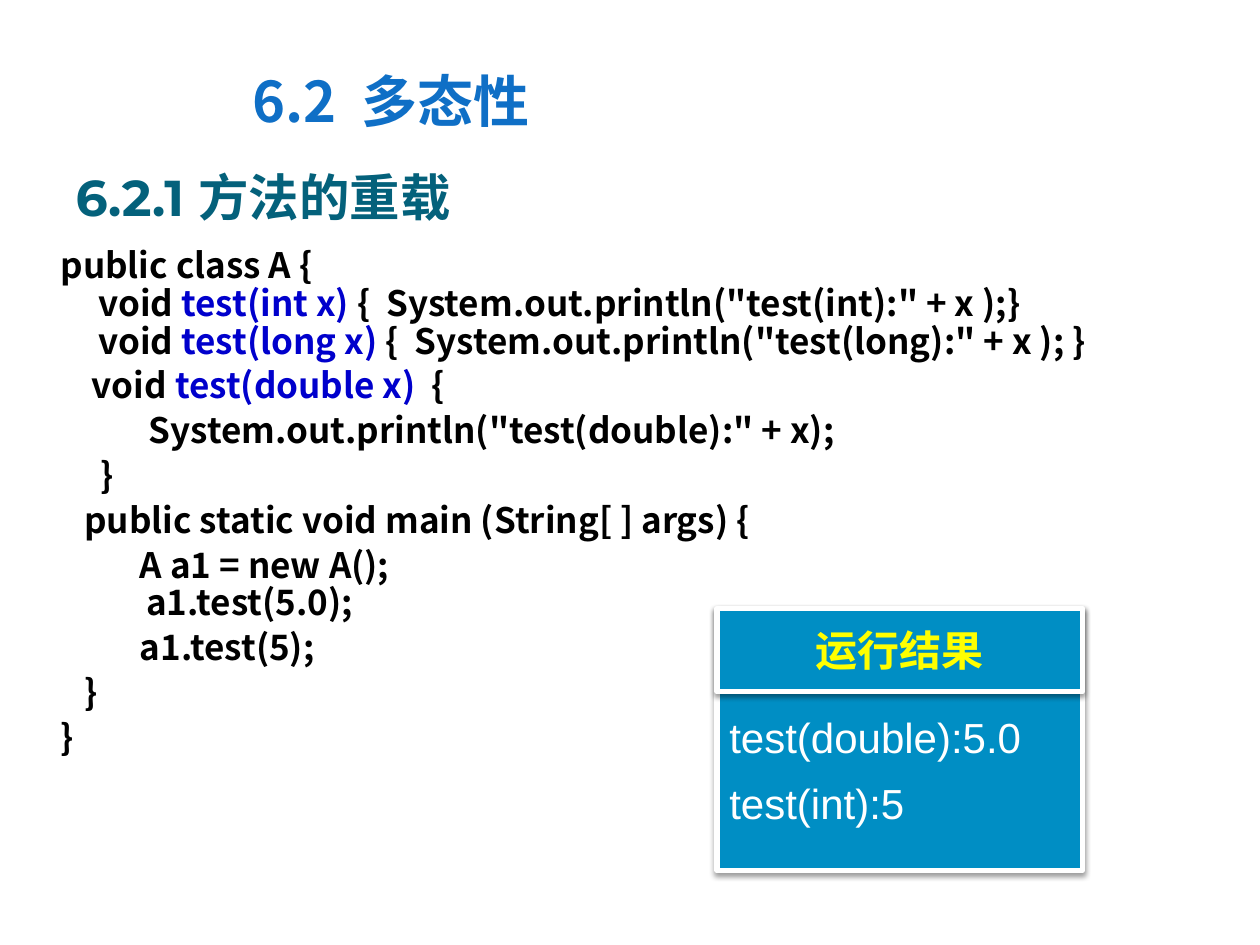
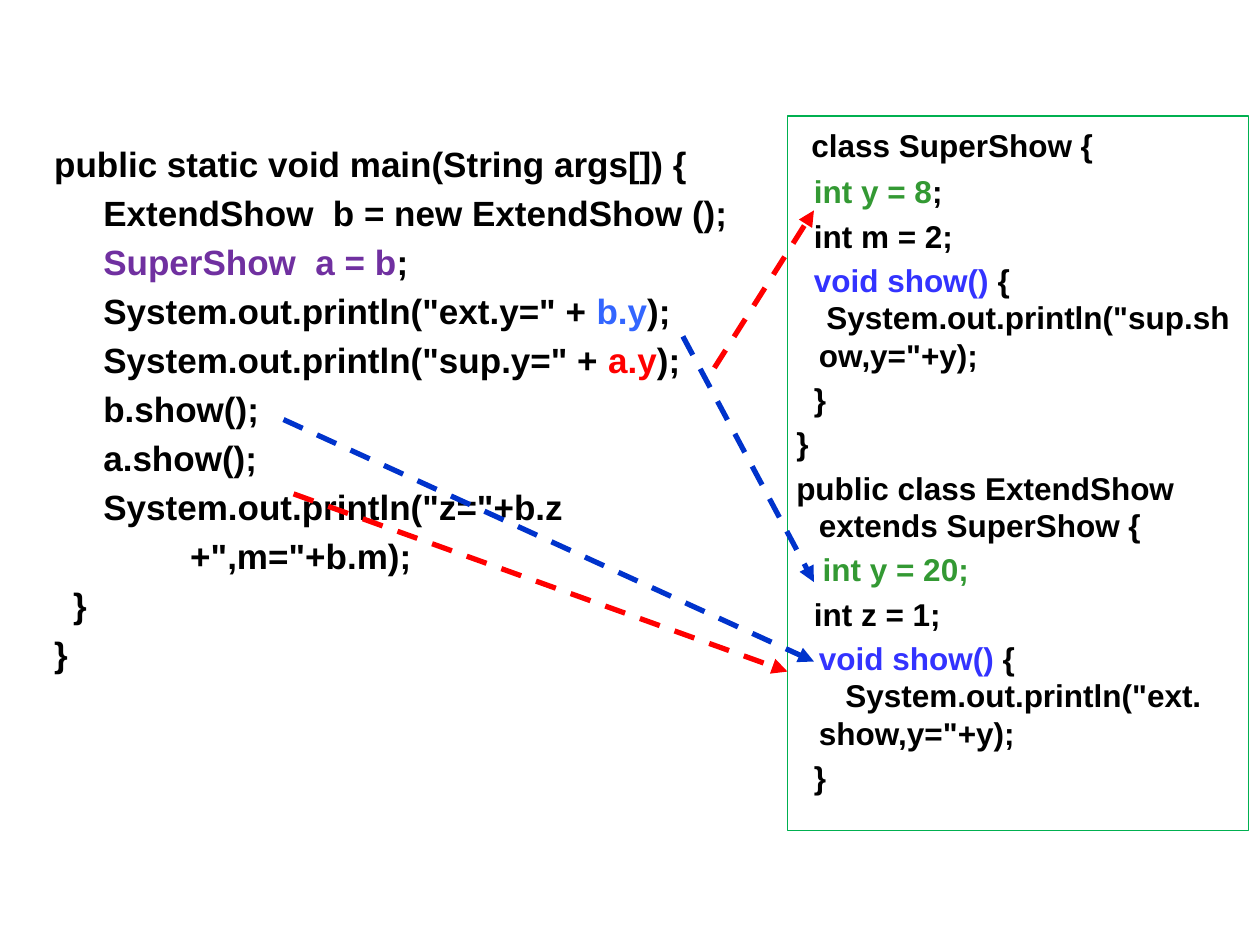
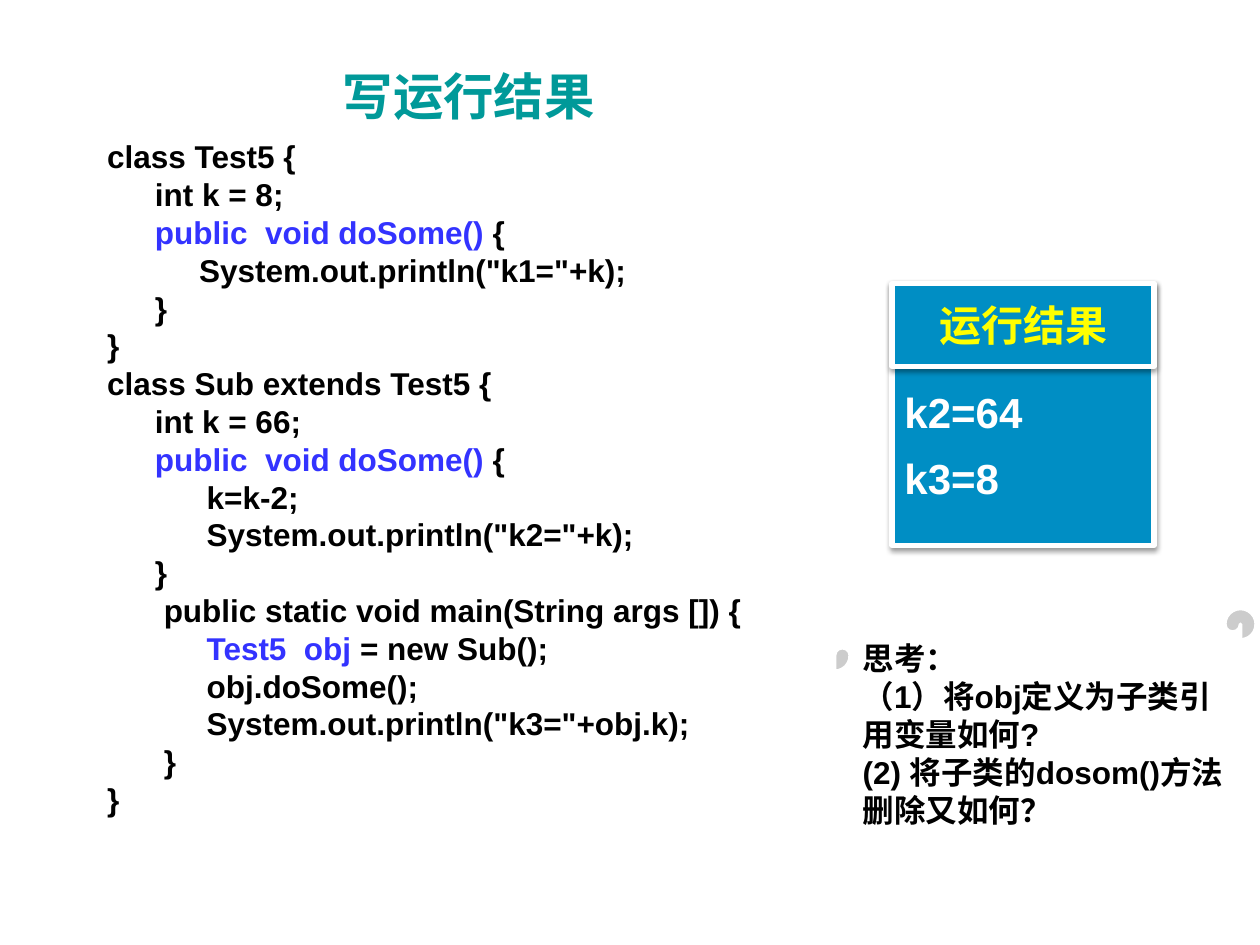
from lxml.etree import SubElement
from pptx import Presentation
from pptx.dml.color import RGBColor
from pptx.enum.dml import MSO_LINE
from pptx.enum.shapes import MSO_CONNECTOR, MSO_SHAPE
from pptx.enum.text import MSO_ANCHOR, MSO_AUTO_SIZE, PP_ALIGN
from pptx.oxml.ns import qn
from pptx.util import Inches, Pt

BLACK, WHITE, RED = "000000", "FFFFFF", "FF0000"
YELLOW, PANEL, GREEN = "FFFF00", "008EC4", "339933"
NAVY, VIOLET, ARROW_BLUE = "0000CC", "3333FF", "0033CC"
CJK = "Noto Sans CJK SC"


def rgb(value):
    return RGBColor.from_string(value)


def add_run(p, text, size=18, font="Arial", color=BLACK, bold=True):
    r = p.add_run()
    r.text = text
    r.font.size = Pt(size)
    r.font.bold = bold
    r.font.name = font
    r.font.color.rgb = rgb(color)
    SubElement(r._r.get_or_add_rPr(), qn("a:ea"), typeface=CJK)


def add_text(tf, index, text, indent=0, hang=None, before=0, after=0,
             spacing=None, align=PP_ALIGN.LEFT, **fmt):
    p = tf.add_paragraph() if index else tf.paragraphs[0]
    p.alignment = align
    p.line_spacing = spacing
    p.space_before, p.space_after = Pt(before), Pt(after)
    left = indent if hang is None else hang
    pPr = p._p.get_or_add_pPr()
    pPr.set("marL", str(Inches(left)))
    pPr.set("indent", str(Inches(indent) - Inches(left)))
    SubElement(pPr, qn("a:buNone"))
    parts = [(text,)] if isinstance(text, str) else text
    for part, *color in parts:
        add_run(p, part, **({**fmt, "color": color[0]} if color else fmt))


def set_frame(tf, anchor=MSO_ANCHOR.TOP, margins=(0.1, 0.05, 0.1, 0.05)):
    tf.word_wrap = True
    tf.auto_size = MSO_AUTO_SIZE.NONE
    tf.vertical_anchor = anchor
    tf.margin_left, tf.margin_top, tf.margin_right, tf.margin_bottom = map(Inches, margins)


def place(sp, left, top, width, height):
    sp.left, sp.top, sp.width, sp.height = map(Inches, (left, top, width, height))


def set_title(s, text, at, color):
    sp = s.shapes.title
    place(sp, *at)
    set_frame(sp.text_frame, MSO_ANCHOR.BOTTOM, (0, 0.05, 0, 0))
    add_text(sp.text_frame, 0, text, size=28.8, font="Montserrat", color=color)


def write_code(tf, rows, size=18, **fmt):
    for i, (indent, text, *options) in enumerate(rows):
        row = {"before": size * 0.2, **fmt, **(options[0] if options else {})}
        add_text(tf, i, text, indent=indent, size=size, **row)


def set_code(s, at, rows, **fmt):
    sp = s.placeholders[1]
    place(sp, *at)
    set_frame(sp.text_frame)
    write_code(sp.text_frame, rows, **fmt)


def add_box(shapes, at, fill, line, width, kind=MSO_SHAPE.RECTANGLE):
    sp = shapes.add_shape(kind, *map(Inches, at))
    sp.shadow.inherit = False
    if fill:
        sp.fill.solid()
        sp.fill.fore_color.rgb = rgb(fill)
    else:
        sp.fill.background()
    sp.line.color.rgb = rgb(line)
    sp.line.width = Pt(width)
    return sp


def add_shadow(sp):
    effects = sp._element.spPr.find(qn("a:effectLst"))
    shadow = SubElement(effects, qn("a:outerShdw"), blurRad=str(Pt(3.1)),
                        dist=str(Pt(1.6)), dir="5400000", rotWithShape="0")
    color = SubElement(shadow, qn("a:srgbClr"), val=BLACK)
    SubElement(color, qn("a:alpha"), val="38000")


def add_result(s, left, top, width, lines, bold):
    shapes = s.shapes.add_group_shape().shapes
    panel, header = [add_box(shapes, (left, top, width, height), PANEL, WHITE, 3)
                     for height in (2.08, 0.66)]
    for sp in (panel, header):
        add_shadow(sp)
    set_frame(panel.text_frame, margins=(0.1, 0.86, 0.1, 0.05))
    for i, line in enumerate(lines):
        add_text(panel.text_frame, i, line, size=24, color=WHITE, bold=bold,
                 spacing=0.9, before=8.4, after=3.6)
    set_frame(header.text_frame, MSO_ANCHOR.MIDDLE)
    add_text(header.text_frame, 0, "运行结果", size=24, color=YELLOW,
             align=PP_ALIGN.CENTER)


def add_arrow(s, x1, y1, x2, y2, color):
    c = s.shapes.add_connector(MSO_CONNECTOR.STRAIGHT,
                               *map(Inches, (x1, y1, x2, y2)))
    c.line.color.rgb = rgb(color)
    c.line.width = Pt(3)
    c.line.dash_style = MSO_LINE.DASH
    SubElement(c.line._get_or_add_ln(), qn("a:tailEnd"), type="triangle")
    SubElement(c._element.spPr, qn("a:effectLst"))


def overload_slide(prs):
    s = prs.slides.add_slide(prs.slide_layouts[1])
    set_title(s, "6.2.1 方法的重载", (0.6, 1.25, 5.08, 0.55), "04617B")
    joined = {"before": 0}
    set_code(s, (0.38, 1.92, 9.25, 5), [
        (0, "public class A {"),
        (0.3, [("void ",), ("test(int x) ", NAVY),
               ('{  System.out.println("test(int):" + x );}',)], joined),
        (0.3, [("void ",), ("test(long x)", NAVY),
               (' {  System.out.println("test(long):" + x ); }',)], joined),
        (0.25, [("void ",), ("test(double x)", NAVY), ("  {",)]),
        (0.7, 'System.out.println("test(double):" + x);'),
        (0.32, "}"),
        (0.19, "public static void main (String[ ] args) {"),
        (0.63, "A a1 = new A();"),
        (0.68, "a1.test(5.0);", joined),
        (0.63, "a1.test(5);"),
        (0.19, "}"),
        (0, "}"),
    ], size=20, font=CJK, spacing=0.9)
    section = s.shapes.add_textbox(*map(Inches, (2, 0.53, 3.58, 0.55)))
    set_frame(section.text_frame, margins=(0, 0, 0, 0))
    add_text(section.text_frame, 0, "6.2  多态性", size=32, font=CJK, color="0F6FC6")
    add_result(s, 5.69, 4.83, 2.9, ["test(double):5.0", "test(int):5"], False)


def override_slide(prs):
    s = prs.slides.add_slide(prs.slide_layouts[1])
    title = s.shapes.title._element
    title.getparent().remove(title)
    step = 0.39
    set_code(s, (0.33, 1.08, 6.67, 5.67), [
        (0, "public static void main(String args[]) {"),
        (step, "ExtendShow  b = new ExtendShow ();"),
        (step, [("SuperShow  a = b", "7030A0"), (";",)]),
        (step, [('System.out.println("ext.y=" + ',), ("b.y", "3366FF"), (");",)]),
        (step, [('System.out.println("sup.y=" + ',), ("a.y", RED), (");",)]),
        (step, "b.show();"),
        (step, "a.show();"),
        (step, 'System.out.println("z="+b.z'),
        (1.08, '+",m="+b.m);'),
        (0.15, "}"),
        (0, "}"),
    ], size=20)

    classes = add_box(s.shapes, (6.25, 0.92, 3.66, 5.67), None, "00B050", 0.75)
    set_frame(classes.text_frame, margins=(0, 0.08, 0, 0))
    show = [("void show() ", VIOLET), ("{",)]
    wrapped = {"hang": 0.25, "before": 0}
    write_code(classes.text_frame, [
        (0.19, "class SuperShow {"),
        (0.21, [("int y = 8", GREEN), (";",)], {"before": 5}),
        (0.21, "int m = 2;"),
        (0.21, show),
        (0.31, 'System.out.println("sup.show,y="+y);', wrapped),
        (0.21, "}"),
        (0.07, "}"),
        (0.07, "public class ExtendShow extends SuperShow {", {"hang": 0.25}),
        (0.28, [("int y = 20;", GREEN)]),
        (0.21, "int z = 1;"),
        (0.25, show),
        (0.46, 'System.out.println("ext. show,y="+y);', wrapped),
        (0.21, "}"),
    ])

    for arrow in [(2.25, 3.33, 6.46, 5.25, ARROW_BLUE),
                  (2.33, 3.92, 6.25, 5.33, RED),
                  (5.42, 2.67, 6.46, 4.62, ARROW_BLUE),
                  (5.67, 2.92, 6.46, 1.67, RED)]:
        add_arrow(s, *arrow)


def exercise_slide(prs):
    s = prs.slides.add_slide(prs.slide_layouts[1])
    set_title(s, "写运行结果", (2.72, 0.5, 4.17, 0.5), "009999")
    member, statement, main_method = 0.38, 0.79, 0.45
    do_some = [("public  void doSome() ", VIOLET), ("{",)]
    set_code(s, (0.75, 1.09, 6.33, 5.74), [
        (0, "class Test5 {"),
        (member, "int k = 8;"),
        (member, do_some),
        (0.73, 'System.out.println("k1="+k);'),
        (member, "}"),
        (0, "}"),
        (0, "class Sub extends Test5 {"),
        (member, "int k = 66;"),
        (member, do_some),
        (statement, "k=k-2;"),
        (statement, 'System.out.println("k2="+k);'),
        (member, "}"),
        (main_method, "public static void main(String args []) {"),
        (statement, [("Test5  obj ", VIOLET), ("= new Sub();",)]),
        (statement, "obj.doSome();"),
        (statement, 'System.out.println("k3="+obj.k);'),
        (main_method, "}"),
        (0, "}"),
    ], spacing=Pt(18))
    add_result(s, 7.08, 2.25, 2.08, ["k2=64", "k3=8"], True)

    scroll = add_box(s.shapes, (6.5, 4.83, 3.47, 1.99), WHITE, WHITE, 2,
                     MSO_SHAPE.HORIZONTAL_SCROLL)
    set_frame(scroll.text_frame, MSO_ANCHOR.MIDDLE)
    for i, question in enumerate(["思考：", "（1）将obj定义为子类引用变量如何?",
                                  "(2) 将子类的dosom()方法删除又如何？"]):
        add_text(scroll.text_frame, i, question)


def main():
    prs = Presentation()
    prs.slide_width, prs.slide_height = Inches(10), Inches(7.5)
    overload_slide(prs)
    override_slide(prs)
    exercise_slide(prs)
    prs.save("out.pptx")


if __name__ == "__main__":
    main()
